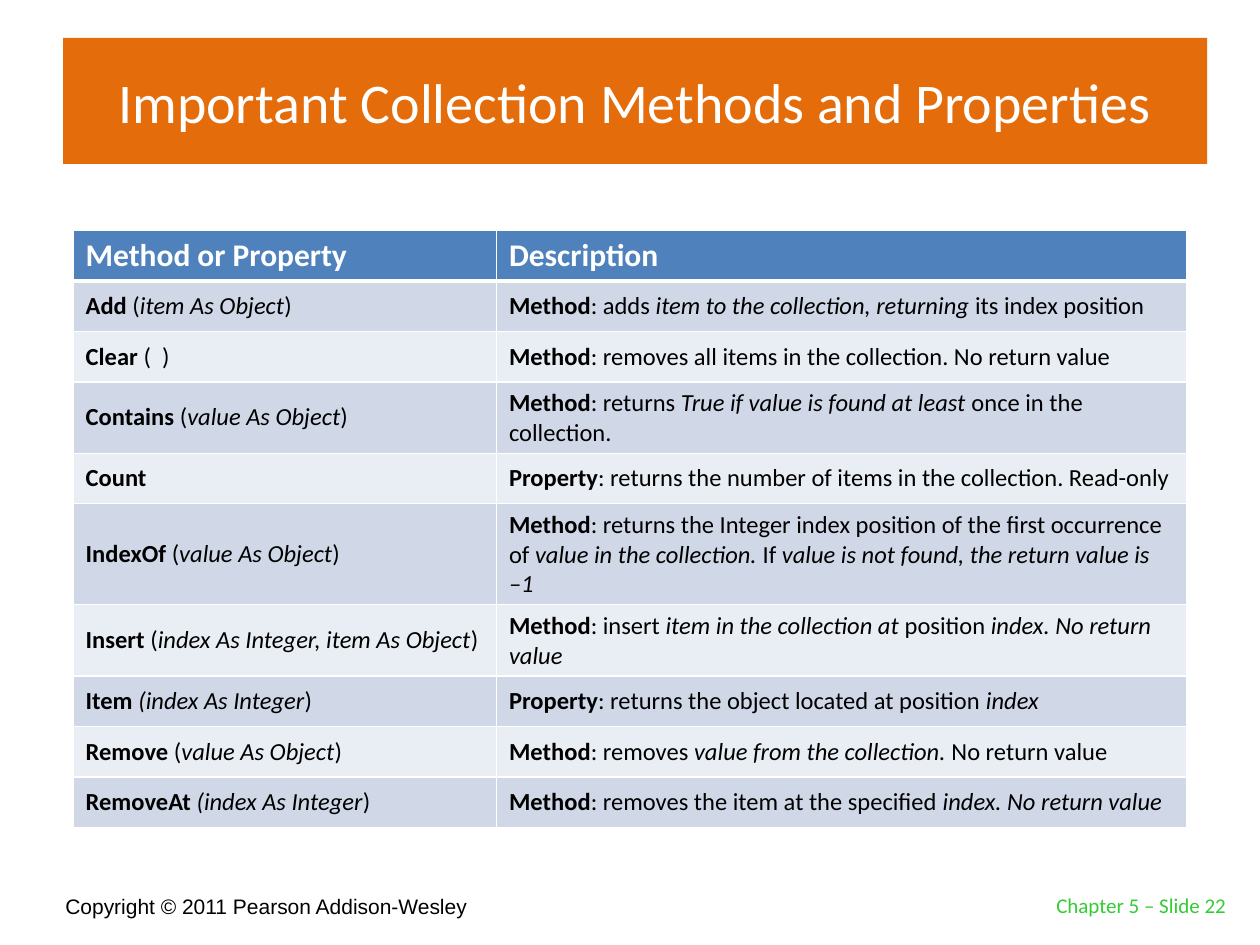
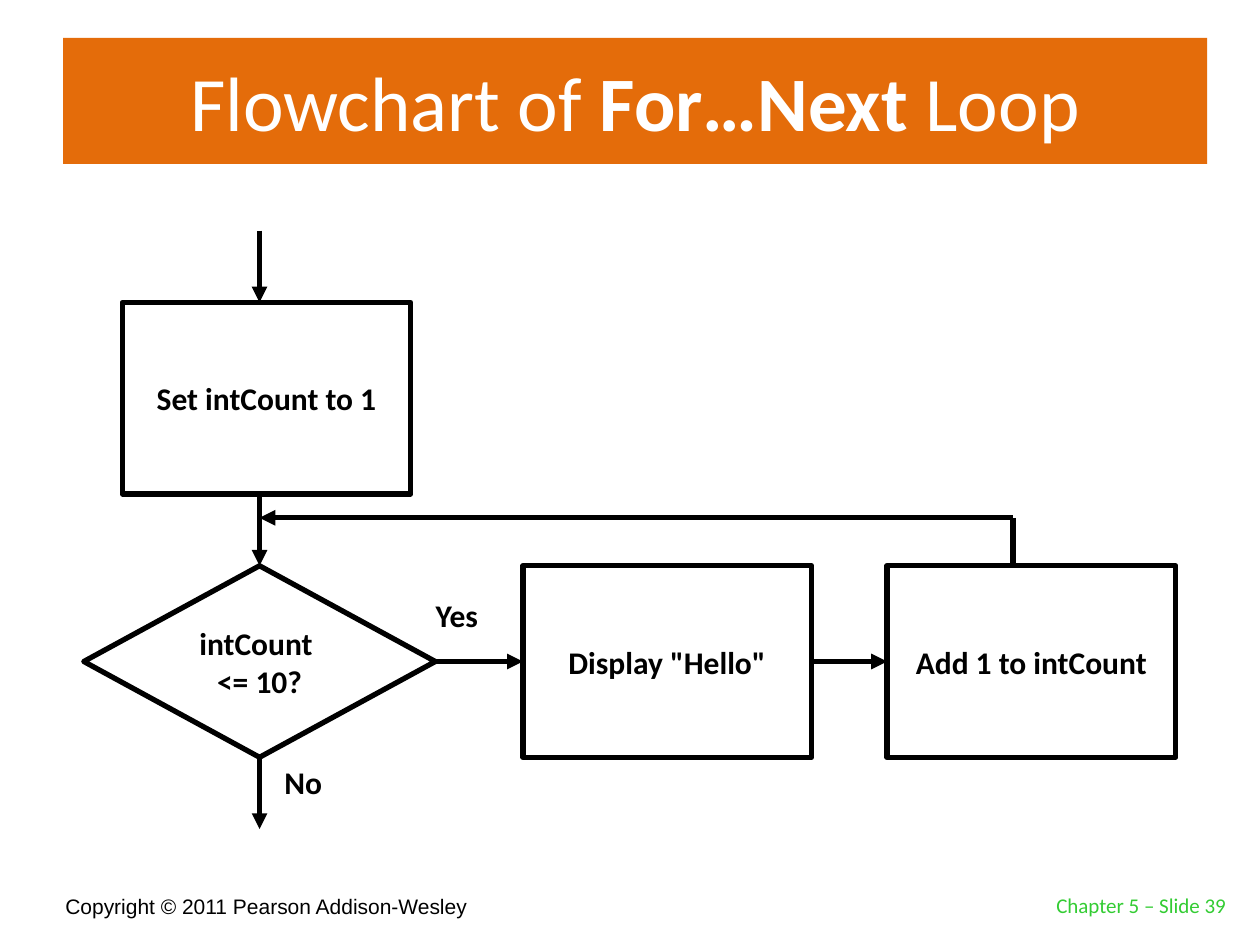
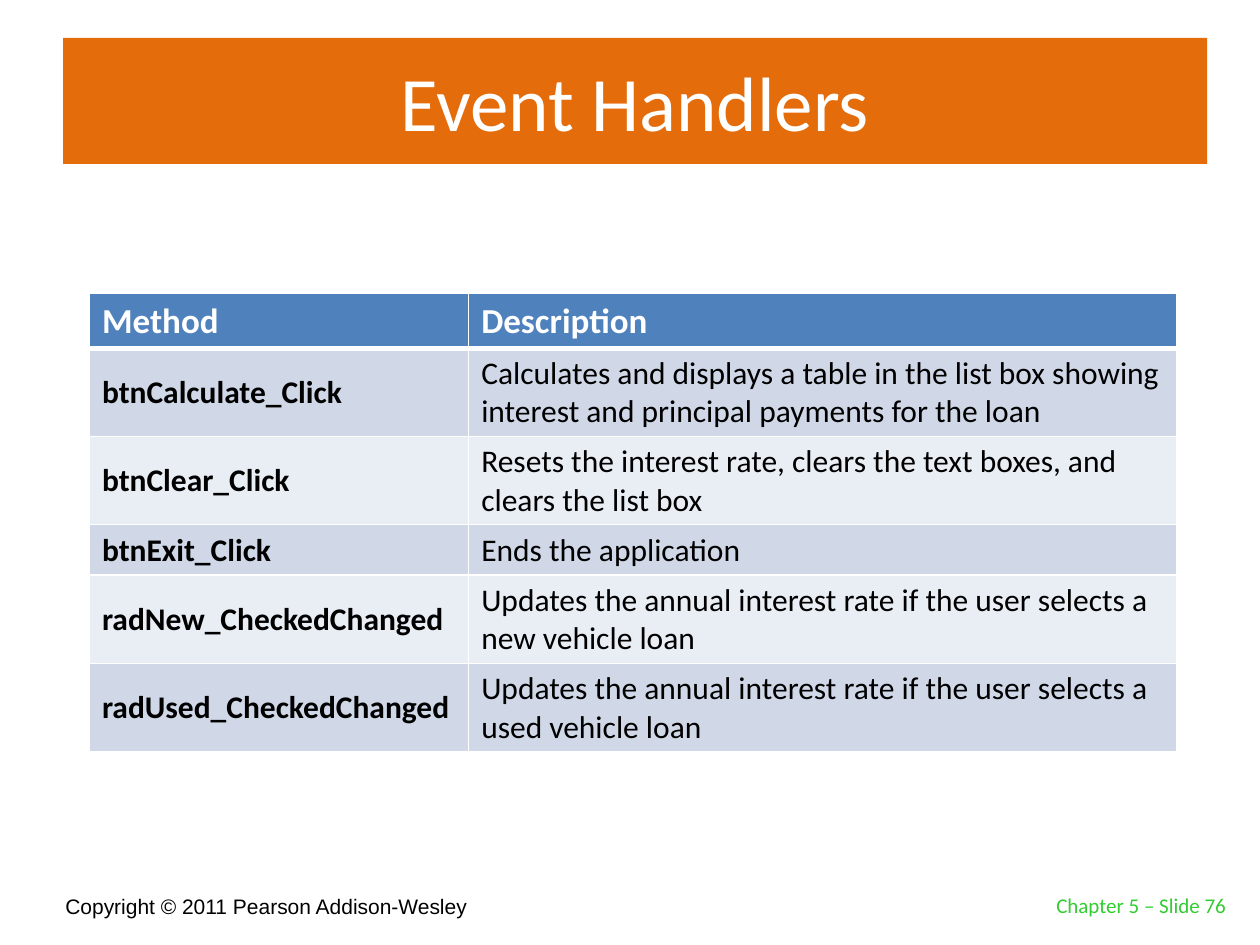
from dataclasses import dataclass

from lxml import etree
from pptx import Presentation
from pptx.dml.color import RGBColor
from pptx.enum.shapes import MSO_CONNECTOR, MSO_SHAPE
from pptx.enum.text import MSO_ANCHOR, MSO_AUTO_SIZE, PP_ALIGN
from pptx.oxml.ns import qn
from pptx.util import Inches, Pt

STRAIGHT = MSO_CONNECTOR.STRAIGHT
PROCESS, DECISION = MSO_SHAPE.FLOWCHART_PROCESS, MSO_SHAPE.FLOWCHART_DECISION
TOP, MIDDLE, BOTTOM = MSO_ANCHOR.TOP, MSO_ANCHOR.MIDDLE, MSO_ANCHOR.BOTTOM
LEFT, CENTER, RIGHT = PP_ALIGN.LEFT, PP_ALIGN.CENTER, PP_ALIGN.RIGHT
NO_FIT = MSO_AUTO_SIZE.NONE


@dataclass(frozen=True)
class Theme:
    font: str = "Calibri"
    footer_font: str = "Arial"
    band: str = "E46C0A"
    white: str = "FFFFFF"
    black: str = "000000"
    green: str = "33CC33"
    header: str = "4F81BD"
    rows: tuple = ("D0D8E8", "E9EDF4")
    title_size: int = 44
    long_title_size: int = 32
    footer_size: int = 12
    flow_size: int = 18
    flow_line: int = 3
    rule: int = 1
    header_rule: int = 3


THEME = Theme()
ROW_HEIGHT = 0.4
BOX_W, BOX_H = 2.29, 1.52
AXIS_X, DECISION_Y, DECISION_W = 2.06, 4.49, 2.79
SET_Y, STUB, RETURN_Y, RETURN_X = 2.4, 0.57, 4.11, 8.04
DISPLAY_X, ADD_X = 4.15, 7.04

COLLECTION_ROWS = [
    ("*Method or Property", "*Description"),
    ("*Add |(|/item As Object|)",
     "*Method|: adds |/item to the collection, returning |its index position"),
    ("*Clear |(  )",
     "*Method|: removes all items in the collection. No return value"),
    ("*Contains |(|/value As Object|)",
     "*Method|: returns |/True if value is found at least |once in the collection."),
    ("*Count",
     "*Property|: returns the number of items in the collection. Read-only"),
    ("*IndexOf |(|/value As Object|)",
     "*Method|: returns the Integer index position of the first occurrence of "
     "|/value in the collection. |If |/value is not found, the return value is|\n|/–1"),
    ("*Insert |(|/index As Integer, item As Object|)",
     "*Method|: insert |/item in the collection at |position |/index. No return value"),
    ("*Item |/(index As Integer|)",
     "*Property|: returns the object located at position |/index"),
    ("*Remove |(|/value As Object|)",
     "*Method|: removes |/value from the collection. |No return value"),
    ("*RemoveAt |/(index As Integer|)",
     "*Method|: removes the item at the specified |/index. No return value"),
]

HANDLER_ROWS = [
    ("*Method", "*Description"),
    ("*btnCalculate_Click",
     "Calculates and displays a table in the list box showing interest and "
     "principal payments for the loan"),
    ("*btnClear_Click",
     "Resets the interest rate, clears the text boxes, and clears the list box"),
    ("*btnExit_Click", "Ends the application"),
    ("*radNew_CheckedChanged",
     "Updates the annual interest rate if the user selects a new vehicle loan"),
    ("*radUsed_CheckedChanged",
     "Updates the annual interest rate if the user selects a used vehicle loan"),
]


def rgb(color):
    return RGBColor.from_string(color)


def apply(target, values):
    for name, value in values.items():
        setattr(target, name, value)


def place(sp, box):
    apply(sp, dict(zip(("left", "top", "width", "height"), map(Inches, box))))


def write(p, marked, size, color, font=THEME.font, align=LEFT):
    """Pieces are split by |; * marks bold, / marks italic."""
    p.alignment = align
    for piece in marked.split("|"):
        if piece == "\n":
            p.add_line_break()
            continue
        r = p.add_run()
        r.text = piece.lstrip("*/")
        apply(r.font, {"name": font, "size": Pt(size),
                       "bold": piece.startswith("*"),
                       "italic": piece.startswith("/")})
        r.font.color.rgb = rgb(color)


def add_text(slide, box, text, size, color, anchor=TOP, wrap=True, **style):
    sp = slide.shapes.add_textbox(*map(Inches, box))
    tf = sp.text_frame
    apply(tf, {"word_wrap": wrap, "vertical_anchor": anchor})
    write(tf.paragraphs[0], text, size, color, **style)


def add_slide(prs, title, number, size=THEME.title_size):
    slide = prs.slides.add_slide(prs.slide_layouts[5])
    sp = slide.shapes.title
    place(sp, (0.5, 0.3, 9.08, 1))
    sp.fill.solid()
    sp.fill.fore_color.rgb = rgb(THEME.band)
    tf = sp.text_frame
    apply(tf, {"vertical_anchor": MIDDLE, "auto_size": NO_FIT, "word_wrap": True})
    write(tf.paragraphs[0], title, size, THEME.white, align=CENTER)
    add_text(slide, (0.42, 6.92, 6.08, 0.42), "Copyright © 2011 Pearson Addison-Wesley",
             THEME.footer_size, THEME.black, BOTTOM, font=THEME.footer_font)
    add_text(slide, (7.75, 6.83, 2.08, 0.5), f"Chapter 5 – Slide {number}",
             THEME.footer_size, THEME.green, BOTTOM, align=RIGHT)
    return slide


def set_borders(cell, widths):
    tc_pr = cell._tc.get_or_add_tcPr()
    for side, width in zip("LRTB", widths):
        ln = etree.SubElement(tc_pr, qn(f"a:ln{side}"), w=str(Pt(width)))
        fill = etree.SubElement(ln, qn("a:solidFill"))
        etree.SubElement(fill, qn("a:srgbClr"), val=THEME.white)


def add_table(slide, left, top, columns, rows, header_size, body_size, text_anchor):
    frame = slide.shapes.add_table(len(rows), len(columns), Inches(left), Inches(top),
                                   Inches(sum(columns)), Inches(ROW_HEIGHT * len(rows)))
    table = frame.table
    for column, width in zip(table.columns, columns):
        column.width = Inches(width)
    for i, row in enumerate(rows):
        top_rule = THEME.header_rule if i == 1 else THEME.rule
        bottom_rule = THEME.header_rule if i == 0 else THEME.rule
        for j, text in enumerate(row):
            cell = table.cell(i, j)
            set_borders(cell, (THEME.rule, THEME.rule, top_rule, bottom_rule))
            cell.fill.solid()
            cell.fill.fore_color.rgb = rgb(THEME.rows[(i - 1) % 2] if i else THEME.header)
            if i:
                cell.vertical_anchor = text_anchor if j else MIDDLE
            write(cell.text_frame.paragraphs[0], text,
                  body_size if i else header_size,
                  THEME.black if i else THEME.white)


def add_step(slide, kind, x, y, width, *lines):
    sp = slide.shapes.add_shape(kind, *map(Inches, (x, y, width, BOX_H)))
    sp.shadow.inherit = False
    sp.fill.solid()
    sp.fill.fore_color.rgb = rgb(THEME.white)
    sp.line.color.rgb = rgb(THEME.black)
    sp.line.width = Pt(THEME.flow_line)
    tf = sp.text_frame
    apply(tf, {"word_wrap": False, "vertical_anchor": MIDDLE})
    for i, line in enumerate(lines):
        p = tf.add_paragraph() if i else tf.paragraphs[0]
        write(p, "*" + line, THEME.flow_size, THEME.black, align=CENTER)


def add_flow(slide, x1, y1, x2, y2, arrow=True):
    line = slide.shapes.add_connector(STRAIGHT, *map(Inches, (x1, y1, x2, y2)))
    line.line.color.rgb = rgb(THEME.black)
    line.line.width = Pt(THEME.flow_line)
    if arrow:
        etree.SubElement(line.line._get_or_add_ln(), qn("a:tailEnd"), type="triangle")
    etree.SubElement(line._element.spPr, qn("a:effectLst"))


def add_flowchart(slide):
    add_step(slide, PROCESS, 0.97, SET_Y, BOX_W, "Set intCount to 1")
    add_step(slide, DECISION, AXIS_X - DECISION_W / 2, DECISION_Y, DECISION_W,
             "intCount ", "<= 10?")
    add_step(slide, PROCESS, DISPLAY_X, DECISION_Y, BOX_W, 'Display "Hello"')
    add_step(slide, PROCESS, ADD_X, DECISION_Y, BOX_W, "Add 1 to intCount")
    for y in (SET_Y - STUB, SET_Y + BOX_H, DECISION_Y + BOX_H):
        add_flow(slide, AXIS_X, y, AXIS_X, y + STUB)
    middle = DECISION_Y + BOX_H / 2
    add_flow(slide, AXIS_X + DECISION_W / 2, middle, DISPLAY_X, middle)
    add_flow(slide, DISPLAY_X + BOX_W, middle, ADD_X, middle)
    add_flow(slide, RETURN_X, RETURN_Y, RETURN_X, DECISION_Y, arrow=False)
    add_flow(slide, RETURN_X, RETURN_Y, AXIS_X, RETURN_Y)
    for text, box in (("*Yes", (3.36, 4.68, 0.65, 0.46)), ("*No", (2.16, 6.01, 0.6, 0.46))):
        add_text(slide, box, text, THEME.flow_size, THEME.black, wrap=False)


def main():
    prs = Presentation()
    prs.slide_width, prs.slide_height = Inches(10), Inches(7.5)
    s = add_slide(prs, "Important Collection Methods and Properties", 22,
                  THEME.long_title_size)
    add_table(s, 0.58, 1.83, (3.36, 5.48), COLLECTION_ROWS, 18, 14, MIDDLE)
    s = add_slide(prs, "Flowchart of |*For…Next| Loop", 39)
    add_flowchart(s)
    s = add_slide(prs, "Event Handlers", 76)
    add_table(s, 0.71, 2.33, (3.01, 5.62), HANDLER_ROWS, 20, 18, TOP)
    prs.save("out.pptx")


if __name__ == "__main__":
    main()
